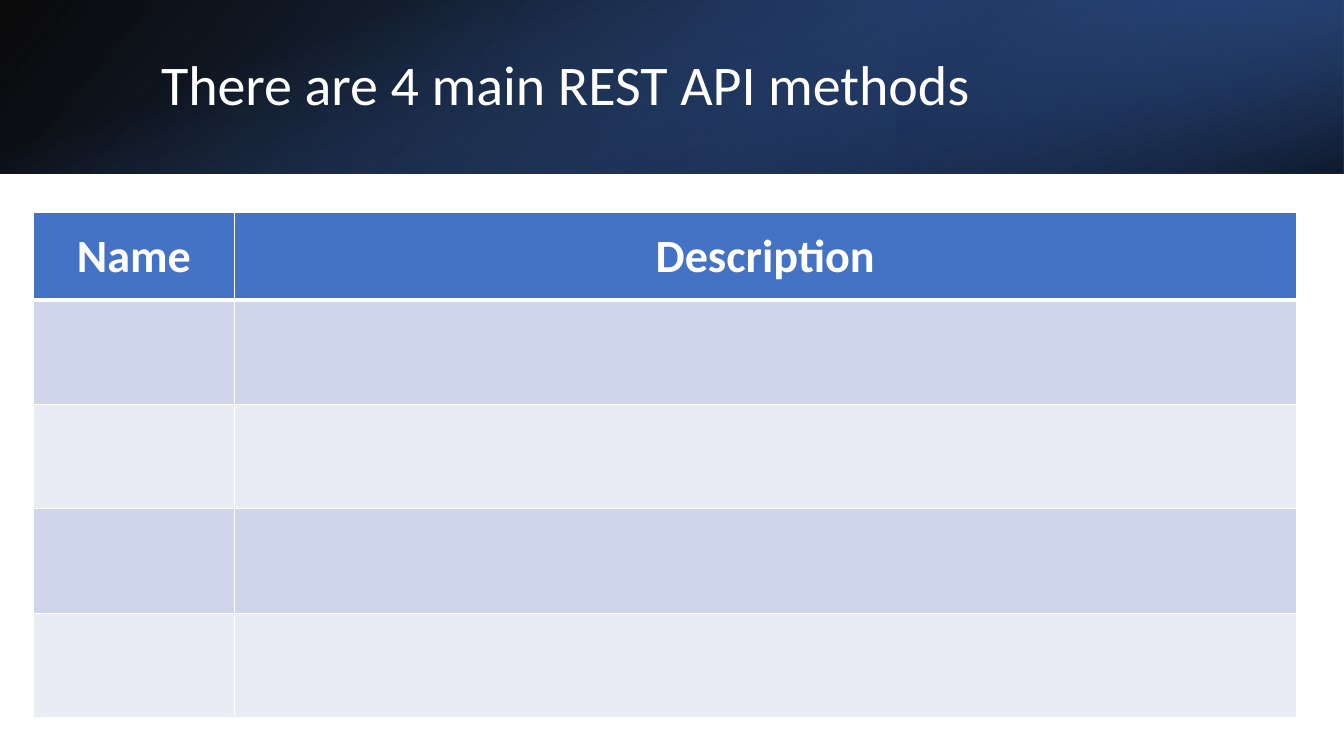
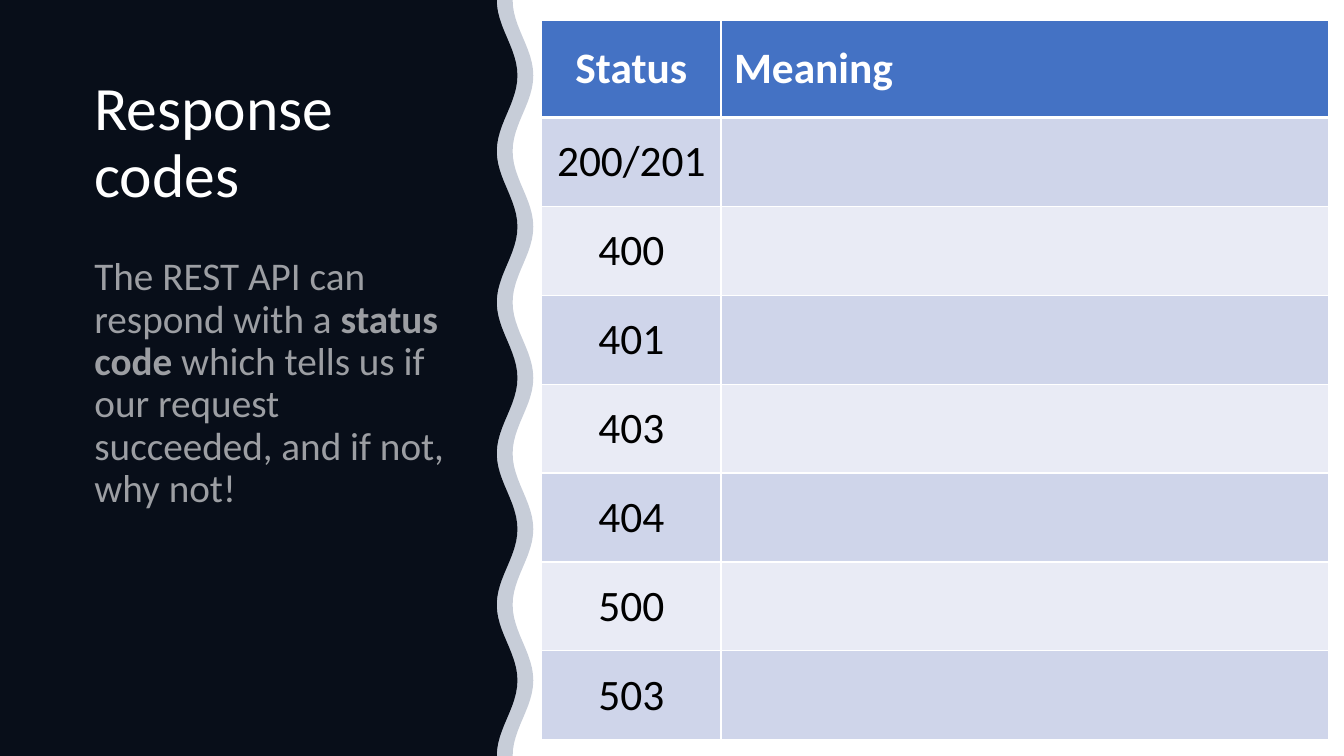
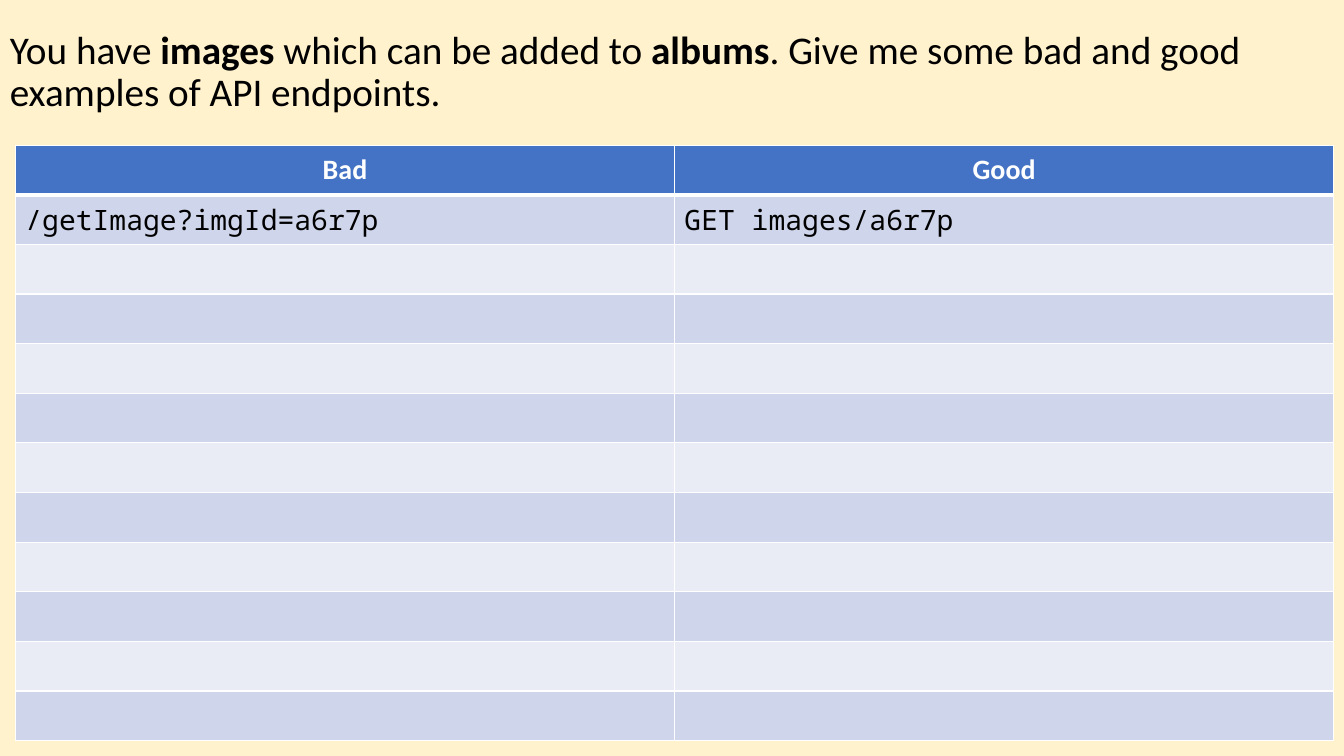
from math import cos, pi

from pptx import Presentation
from pptx.dml.color import RGBColor as Rgb
from pptx.enum.shapes import MSO_SHAPE as Geo
from pptx.enum.text import MSO_ANCHOR as Anchor, PP_ALIGN as Align
from pptx.oxml.ns import qn
from pptx.oxml.xmlchemy import OxmlElement as Node
from pptx.util import Cm, Pt

HUES = {
    "white": "FFFFFF", "black": "000000", "cream": "FFF2CC",
    "blue": "4472C4", "mid": "2F5597", "navy": "203864",
    "dark row": "CFD5EA", "light row": "E9EBF5",
}
WIDE, HIGH = 33.87, 19.05
SANS, MONO = "Calibri", "Noto Sans Mono"
SIDES = {"l": Align.LEFT, "c": Align.CENTER}


def hue(name):
    return Rgb.from_string(HUES[name])


def fade(color, part):
    """Set the opacity of a colour node, in percent."""
    node = Node("a:alpha")
    node.set("val", str(part * 1000))
    color.append(node)


class Deck:
    def __init__(self):
        self.prs = Presentation()
        self.prs.slide_width, self.prs.slide_height = Cm(WIDE), Cm(HIGH)
        self.slide = None

    def page(self, back="white"):
        self.slide = self.prs.slides.add_slide(self.prs.slide_layouts[6])
        fill = self.slide.background.fill
        fill.solid()
        fill.fore_color.rgb = hue(back)

    def style(self, para, size, color, face=SANS, bold=None):
        font = para.font
        font.size, font.name, font.bold = Pt(size), face, bold
        font.color.rgb = hue(color)

    def text(self, words, box, size, color="white", anchor=Anchor.TOP,
             before=0, part=100):
        """Add a text box; words between stars are bold."""
        frame = self.slide.shapes.add_textbox(*map(Cm, box)).text_frame
        frame.word_wrap, frame.vertical_anchor = True, anchor
        para = frame.paragraphs[0]
        para.line_spacing, para.space_before = 0.9, Pt(before)
        self.style(para, size, color)
        if part < 100:
            fade(next(frame._txBody.iter(qn("a:srgbClr"))), part)
        for i, piece in enumerate(words.split("*")):
            run = para.add_run()
            run.text = piece
            run.font.bold = i % 2 == 1

    def band(self, box, stops, angle, turn=0, flip=False):
        """Add a gradient rectangle; each stop is (place, colour, opacity)."""
        shape = self.slide.shapes.add_shape(Geo.RECTANGLE, *map(Cm, box))
        shape.shadow.inherit = False
        shape.line.fill.background()
        shape.rotation = turn
        props = shape.element.spPr
        if flip:
            props.find(qn("a:xfrm")).set("flipH", "1")
        shape.fill.gradient()
        shape.fill.gradient_angle = 360 - angle
        for stop, (place, color, _) in zip(shape.fill.gradient_stops, stops):
            stop.position, stop.color.rgb = place / 100, hue(color)
        for node, (_, _, part) in zip(props.iter(qn("a:srgbClr")), stops):
            fade(node, part)

    def wave(self, mid, color, part=100):
        """Add a panel from the left edge to a wavy right edge."""
        swing, count, steps = 0.26, 5, 120
        edge = [(Cm(mid - swing * cos(2 * pi * count * i / steps)),
                 Cm(HIGH * i / steps)) for i in range(steps + 1)]
        path = self.slide.shapes.build_freeform(0, 0)
        path.add_line_segments(edge + [(0, Cm(HIGH))], close=True)
        shape = path.convert_to_shape()
        shape.shadow.inherit = False
        shape.line.fill.background()
        shape.fill.solid()
        shape.fill.fore_color.rgb = hue(color)
        if part < 100:
            fade(next(shape.element.spPr.iter(qn("a:srgbClr"))), part)

    def border(self, cell, row):
        props = cell._tc.get_or_add_tcPr()
        thick = {"T": 3 if row == 1 else 1, "B": 3 if row == 0 else 1}
        for side in "LRTB":
            line = Node(f"a:ln{side}")
            line.set("w", str(Pt(thick.get(side, 1))))
            fill, color = Node("a:solidFill"), Node("a:srgbClr")
            color.set("val", HUES["white"])
            fill.append(color)
            line.append(fill)
            props.append(line)

    def table(self, spot, cols, rows, cells, size, pad, head="cc", body="cl",
              face=SANS):
        """Add a banded table; cells holds the filled rows, header first."""
        grid = self.slide.shapes.add_table(
            len(rows), len(cols), *map(Cm, (*spot, sum(cols), sum(rows)))).table
        grid.horz_banding = False
        for col, width in zip(grid.columns, cols):
            col.width = Cm(width)
        for r, height in enumerate(rows):
            grid.rows[r].height = Cm(height)
            words = cells[r] if r < len(cells) else ()
            back = "blue" if r == 0 else "dark row" if r % 2 else "light row"
            for c in range(len(cols)):
                cell = grid.cell(r, c)
                self.border(cell, r)
                cell.fill.solid()
                cell.fill.fore_color.rgb = hue(back)
                cell.vertical_anchor = Anchor.MIDDLE
                cell.margin_left = cell.margin_right = Cm(pad[0])
                cell.margin_top = cell.margin_bottom = Cm(pad[1])
                if c >= len(words):
                    continue
                cell.text = words[c]
                para = cell.text_frame.paragraphs[0]
                para.alignment = SIDES[(body if r else head)[c]]
                if r:
                    self.style(para, size, "black", face, False)
                else:
                    self.style(para, size, "white", bold=True)


def methods(deck):
    deck.page()
    # Layered gradient band
    tall = 4.37
    deck.band((0, 0, WIDE, tall), [(0, "black", 96), (100, "mid", 100)],
              140, flip=True)
    deck.band((22.58, 0, 11.29, tall), [(19, "navy", 68), (100, "blue", 79)],
              320, turn=180, flip=True)
    deck.band(((WIDE - tall) / 2, (tall - WIDE) / 2, tall, WIDE),
              [(23, "blue", 0), (99, "black", 74)], 340, turn=90)
    deck.text("There are 4 main REST API methods", (3.81, 0.97, 27.89, 2.44),
              40, anchor=Anchor.MIDDLE)
    # Methods to fill in
    deck.table((0.85, 5.36), [5.05, 26.77], [2.2] + [2.63] * 4,
               [("Name", "Description")], 33, (0.3, 0.15))


def codes(deck):
    deck.page()
    # Wavy side panel
    deck.wave(12.78, "black")
    deck.wave(13.18, "navy", 25)
    deck.text("Response codes", (2.13, 1.83, 9.4, 4.14), 44)
    deck.text("The REST API can respond with a *status code* which tells us "
              "if our request succeeded, and if not, why not!",
              (2.13, 6.35, 9.4, 10.67), 28, before=10, part=60)
    # Status codes
    names = ["200/201", "400", "401", "403", "404", "500", "503"]
    deck.table((13.65, 0.52), [4.52, 15.32], [2.44] + [2.24] * len(names),
               [("Status", "Meaning")] + [(name,) for name in names],
               31, (0.33, 0.16), head="cl")


def routes(deck):
    deck.page("cream")
    deck.text("You have *images* which can be added to *albums*. Give me some "
              "bad and good examples of API endpoints.",
              (0, 0, WIDE, 3.68), 28, "black", Anchor.MIDDLE)
    # Endpoint examples
    deck.table((0.39, 3.66), [16.61] * 2, [1.25] * 12,
               [("Bad", "Good"), ("/getImage?imgId=a6r7p", "GET images/a6r7p")],
               20, (0.25, 0.13), body="ll", face=MONO)


def main():
    deck = Deck()
    for build in (methods, codes, routes):
        build(deck)
    deck.prs.save("out.pptx")


if __name__ == "__main__":
    main()
